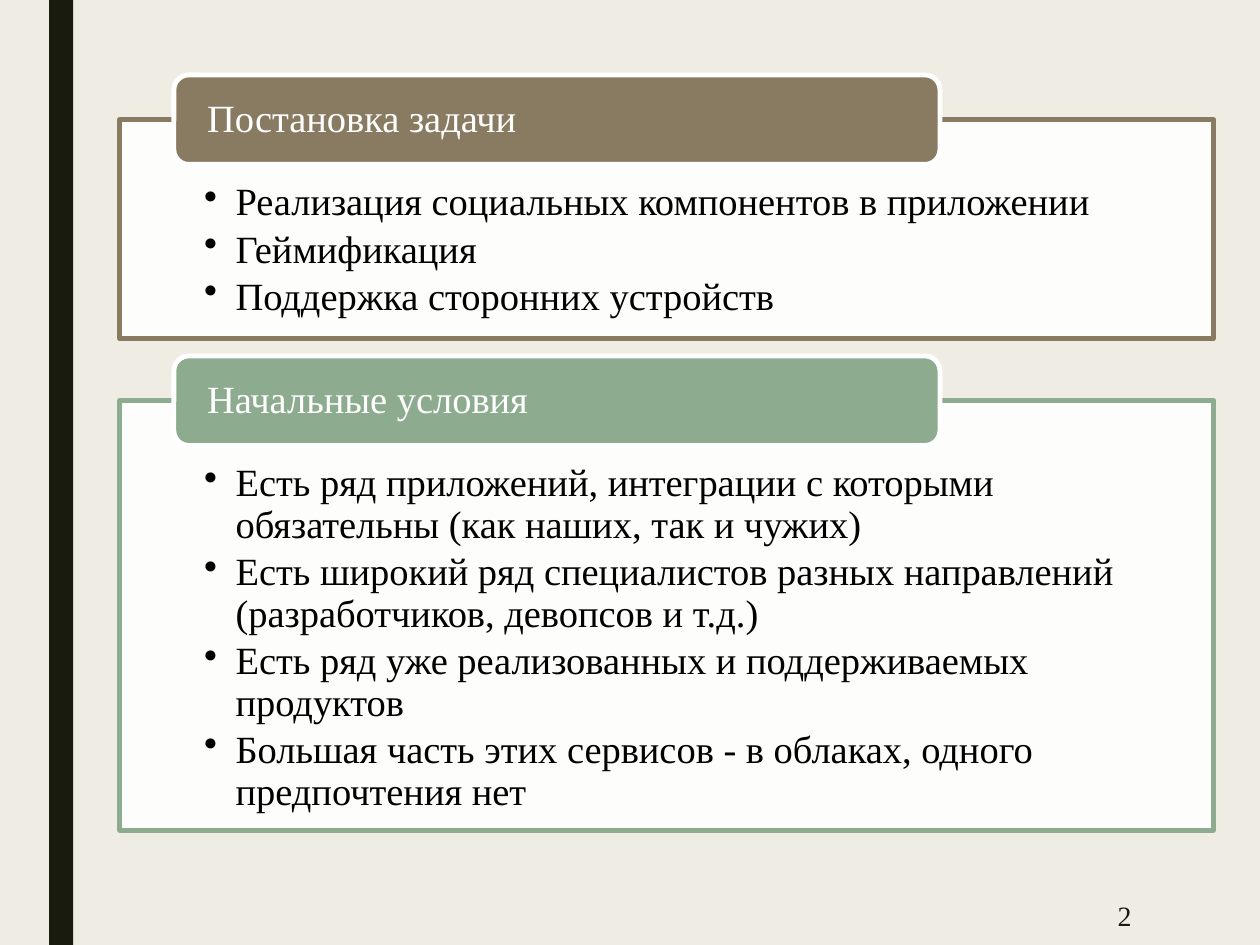
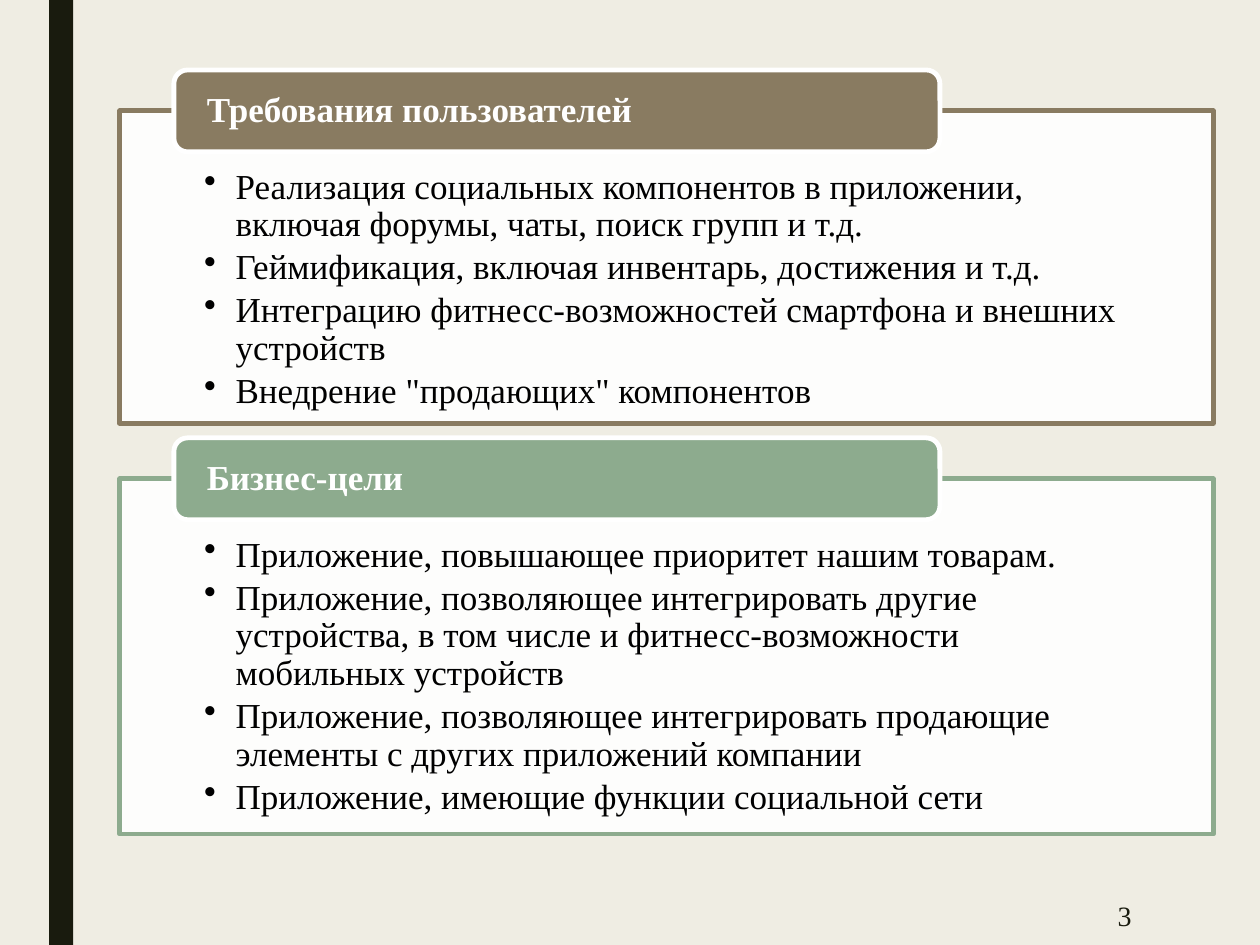
"""Build two slides of tabbed panels about the goals and conditions of an application."""
import lxml.etree
import pptx
import pptx.dml.color
import pptx.enum.shapes
import pptx.enum.text
import pptx.oxml.ns
import pptx.util
from pptx.util import Inches

THEME = {
    "font": "Times New Roman",
    "paper": "EFEDE3",
    "ink": "191B0E",
    "text": "000000",
    "white": "FFFFFF",
    "panels": ["897B61", "8DAB8E"],
    "outline": 2.75,
    "number": 16,
}
SHAPES = pptx.enum.shapes.MSO_SHAPE
ANCHOR = pptx.enum.text.MSO_ANCHOR
ALIGN = pptx.enum.text.PP_ALIGN

PAGES = [
    {
        "number": "2", "size": 22, "bold": False, "tab_height": 0.71, "insets": (0.5, 0.17),
        "panels": [
            ("Постановка задачи", 0.95, 1.74, [
                "Реализация социальных компонентов в приложении",
                "Геймификация",
                "Поддержка сторонних устройств",
            ]),
            ("Начальные условия", 3.18, 3.41, [
                "Есть ряд приложений, интеграции с которыми обязательны (как наших, так и чужих)",
                "Есть широкий ряд специалистов разных направлений (разработчиков, девопсов и т.д.)",
                "Есть ряд уже реализованных и поддерживаемых продуктов",
                "Большая часть этих сервисов - в облаках, одного предпочтения нет",
            ]),
        ],
    },
    {
        "number": "3", "size": 20, "bold": True, "tab_height": 0.65, "insets": (0.46, 0.16),
        "panels": [
            ("Требования пользователей", 0.88, 2.48, [
                "Реализация социальных компонентов в приложении, включая форумы, чаты, поиск групп и т.д.",
                "Геймификация, включая инвентарь, достижения и т.д.",
                "Интеграцию фитнесс-возможностей смартфона и внешних устройств",
                'Внедрение "продающих" компонентов',
            ]),
            ("Бизнес-цели", 3.8, 2.82, [
                "Приложение, повышающее приоритет нашим товарам.",
                "Приложение, позволяющее интегрировать другие устройства, "
                "в том числе и фитнесс-возможности мобильных устройств",
                "Приложение, позволяющее интегрировать продающие элементы с других приложений компании",
                "Приложение, имеющие функции социальной сети",
            ]),
        ],
    },
]


def add_box(page, kind, place, fill, line=None):
    """Add a flat shape with a solid fill and an optional outline."""
    box = page.shapes.add_shape(kind, *map(Inches, place))
    box.shadow.inherit = False
    box.fill.solid()
    box.fill.fore_color.rgb = pptx.dml.color.RGBColor.from_string(fill)
    if line:
        box.line.color.rgb = pptx.dml.color.RGBColor.from_string(line)
        box.line.width = pptx.util.Pt(THEME["outline"])
    else:
        box.line.fill.background()
    return box


def write(box, lines, insets, anchor, size, color, bold=False, align=ALIGN.LEFT, bullet=False):
    """Fill a box with one paragraph per line."""
    frame = box.text_frame
    left, top, right, bottom = map(Inches, insets)
    frame_format = {"word_wrap": True, "vertical_anchor": anchor, "margin_left": left,
                    "margin_top": top, "margin_right": right, "margin_bottom": bottom}
    for name, value in frame_format.items():
        setattr(frame, name, value)
    for index, line in enumerate(lines):
        para = frame.add_paragraph() if index else frame.paragraphs[0]
        para_format = {"alignment": align, "line_spacing": 0.9,
                       "space_after": pptx.util.Pt(size * 0.15)}
        for name, value in para_format.items():
            setattr(para, name, value)
        if bullet:
            para.level = 1
            properties = para._p.get_or_add_pPr()
            properties.set("marL", str(Inches(0.25)))
            properties.set("indent", str(Inches(-0.25)))
            mark = lxml.etree.SubElement(properties, pptx.oxml.ns.qn("a:buChar"))
            mark.set("char", "•")
        span = para.add_run()
        span.text = line
        span_format = {"name": THEME["font"], "size": pptx.util.Pt(size), "bold": bold}
        for name, value in span_format.items():
            setattr(span.font, name, value)
        span.font.color.rgb = pptx.dml.color.RGBColor.from_string(color)


deck = pptx.Presentation()
deck.slide_width, deck.slide_height = Inches(10), Inches(7.5)
master = deck.slide_master
master.background.fill.solid()
master.background.fill.fore_color.rgb = pptx.dml.color.RGBColor.from_string(THEME["paper"])
blank = deck.slide_layouts.get_by_name("Blank")

for page_index, content in enumerate(PAGES):
    page = deck.slides.add_slide(blank)
    if page_index == 0:
        band = add_box(page, SHAPES.RECTANGLE, (0.39, 0, 0.19, 7.5), THEME["ink"])
        master.shapes.element.append(band.element)

    number = page.shapes.add_textbox(*map(Inches, (7.77, 7.06, 1.31, 0.44)))
    write(number, [content["number"]], (0.1, 0.05, 0.1, 0.05), ANCHOR.MIDDLE,
          THEME["number"], THEME["ink"], align=ALIGN.RIGHT)

    size, tab_height = content["size"], content["tab_height"]
    inset_top, inset_bottom = content["insets"]
    for color, (heading, top, height, points) in zip(THEME["panels"], content["panels"]):
        panel = add_box(page, SHAPES.RECTANGLE, (0.95, top, 8.68, height), THEME["white"], color)
        shade = panel.fill._xPr.find(".//" + pptx.oxml.ns.qn("a:srgbClr"))
        lxml.etree.SubElement(shade, pptx.oxml.ns.qn("a:alpha")).set("val", "90000")
        write(panel, points, (0.67, inset_top, 0.67, inset_bottom), ANCHOR.TOP,
              size, THEME["text"], bullet=True)

        tab_place = (1.38, top - tab_height / 2, 6.08, tab_height)
        tab = add_box(page, SHAPES.ROUNDED_RECTANGLE, tab_place, color, THEME["white"])
        write(tab, [heading], (0.23, 0, 0.23, 0), ANCHOR.MIDDLE, size, THEME["white"],
              bold=content["bold"])

deck.save("out.pptx")
